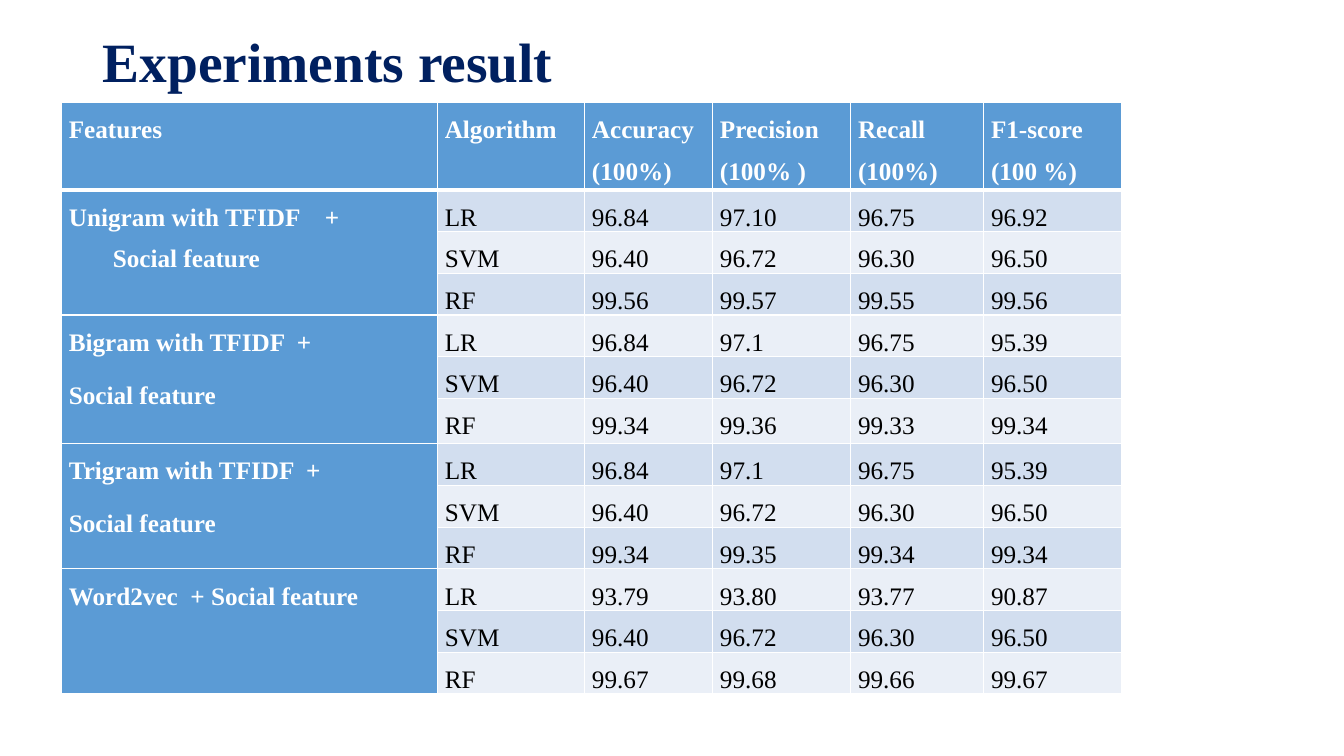
import dataclasses
import typing

import lxml.etree
import pptx
import pptx.dml.color
import pptx.enum.text
import pptx.oxml
import pptx.oxml.ns
import pptx.util

SCALE = 3048
FACE = "Times New Roman"
HUES = {
    "navy": "002060", "blue": "5B9BD5", "dark": "D2DEEF",
    "light": "EAEFF7", "white": "FFFFFF", "black": "000000",
}
WIDTHS = [1119, 438, 381, 411, 396, 411]
HEIGHTS = [261] + [124] * 5 + [135] + [124] * 6
HEADS = ["Features", "Algorithm", "Accuracy (100%)", "Precision (100% )",
         "Recall (100%)", "F1-score (100 %)"]
MODELS = ["LR", "SVM", "RF"]
JUST = pptx.enum.text.PP_ALIGN.JUSTIFY
LEFT = pptx.enum.text.PP_ALIGN.LEFT


@dataclasses.dataclass
class Line:
    text: str
    align: typing.Any = JUST
    pitch: float = 29.75
    indent: int = 0
    tab: int = 0


@dataclasses.dataclass
class Group:
    lines: list[Line]
    scores: list[str]


GROUPS = [
    Group([Line("Unigram with TFIDF\t+", LEFT, tab=762),
           Line("Social feature", LEFT, 21.3, indent=131)],
          ["96.84 97.10 96.75 96.92", "96.40 96.72 96.30 96.50",
           "99.56 99.57 99.55 99.56"]),
    Group([Line("Bigram with TFIDF  +"), Line("Social feature")],
          ["96.84 97.1 96.75 95.39", "96.40 96.72 96.30 96.50",
           "99.34 99.36 99.33 99.34"]),
    Group([Line("Trigram with TFIDF  +"), Line("Social feature")],
          ["96.84 97.1 96.75 95.39", "96.40 96.72 96.30 96.50",
           "99.34 99.35 99.34 99.34"]),
    Group([Line("Word2vec  + Social feature")],
          ["93.79 93.80 93.77 90.87", "96.40 96.72 96.30 96.50",
           "99.67 99.68 99.66 99.67"]),
]


def px(size: int) -> pptx.util.Emu:
    return pptx.util.Emu(size * SCALE)


def tint(name: str) -> pptx.dml.color.RGBColor:
    return pptx.dml.color.RGBColor.from_string(HUES[name])


def apply(item: typing.Any, values: dict[str, typing.Any]) -> None:
    for name, value in values.items():
        setattr(item, name, value)


def write(para: typing.Any, text: str, size: float, hue: str, bold: bool) -> None:
    run = para.add_run()
    run.text = text
    apply(run.font, {"name": FACE, "size": pptx.util.Pt(size), "bold": bold})
    run.font.color.rgb = tint(hue)


def edge(cell: typing.Any, sides: dict[str, int]) -> None:
    props = cell._tc.get_or_add_tcPr()
    space = pptx.oxml.ns.nsdecls("a")
    for side, width in sides.items():
        props.append(pptx.oxml.parse_xml(
            f'<a:ln{side} {space} w="{pptx.util.Pt(width)}"><a:solidFill>'
            f'<a:srgbClr val="{HUES["white"]}"/></a:solidFill></a:ln{side}>'))


def style(cell: typing.Any, row: int, col: int) -> None:
    apply(cell, {"margin_left": px(22), "margin_right": px(22),
                 "margin_top": 0, "margin_bottom": 0})
    edge(cell, {"L": 1, "R": 1, "T": 3 if row == 1 else 1,
                "B": 3 if row == 0 else 1})
    band = "dark" if row % 2 else "light"
    cell.fill.solid()
    cell.fill.fore_color.rgb = tint("blue" if row == 0 or col == 0 else band)


def fill(cell: typing.Any, lines: list[Line], strong: bool) -> None:
    frame = cell.text_frame
    for spot, line in enumerate(lines):
        para = frame.add_paragraph() if spot else frame.paragraphs[0]
        apply(para, {"alignment": line.align,
                     "line_spacing": pptx.util.Pt(line.pitch),
                     "space_after": pptx.util.Pt(8)})
        props = para._p.get_or_add_pPr()
        if line.indent:
            props.set("marL", str(px(line.indent)))
        if line.tab:
            stops = lxml.etree.SubElement(props, pptx.oxml.ns.qn("a:tabLst"))
            lxml.etree.SubElement(stops, pptx.oxml.ns.qn("a:tab"),
                                  pos=str(px(line.tab)), algn="l")
        write(para, line.text, 18, "white" if strong else "black", strong)


def title(slide: typing.Any) -> None:
    box = slide.shapes.add_textbox(px(276), px(117), px(3450), px(147))
    apply(box.text_frame, {
        "word_wrap": True,
        "vertical_anchor": pptx.enum.text.MSO_ANCHOR.MIDDLE})
    para = box.text_frame.paragraphs[0]
    para.line_spacing = 0.9
    write(para, "Experiments result", 39.6, "navy", True)


def results(slide: typing.Any) -> None:
    table = slide.shapes.add_table(
        len(HEIGHTS), len(WIDTHS), px(183), px(304),
        px(sum(WIDTHS)), px(sum(HEIGHTS))).table
    for col, width in zip(table.columns, WIDTHS):
        col.width = px(width)
    for row, height in zip(table.rows, HEIGHTS):
        row.height = px(height)
    for row in range(len(HEIGHTS)):
        for col in range(len(WIDTHS)):
            style(table.cell(row, col), row, col)
    for col, head in enumerate(HEADS):
        fill(table.cell(0, col), [Line(head)], True)
    for spot, group in enumerate(GROUPS):
        top = 1 + spot * len(MODELS)
        first = table.cell(top, 0)
        first.merge(table.cell(top + len(MODELS) - 1, 0))
        fill(first, group.lines, True)
        for row, (model, score) in enumerate(zip(MODELS, group.scores), top):
            for col, text in enumerate([model, *score.split()], 1):
                fill(table.cell(row, col), [Line(text)], False)


def main() -> None:
    deck = pptx.Presentation()
    apply(deck, {"slide_width": px(4000), "slide_height": px(2250)})
    slide = deck.slides.add_slide(deck.slide_layouts[6])
    title(slide)
    results(slide)
    deck.save("out.pptx")


if __name__ == "__main__":
    main()
